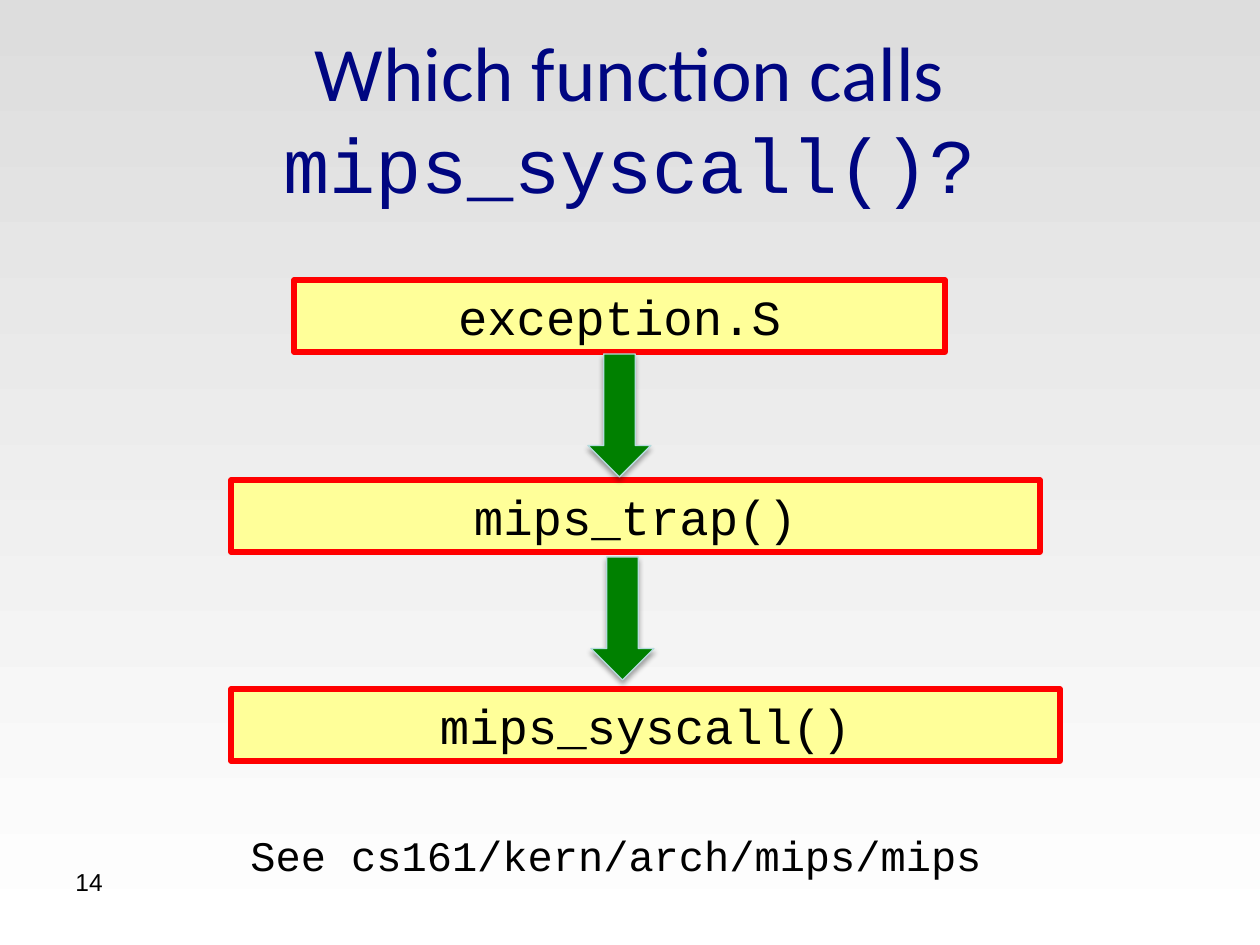
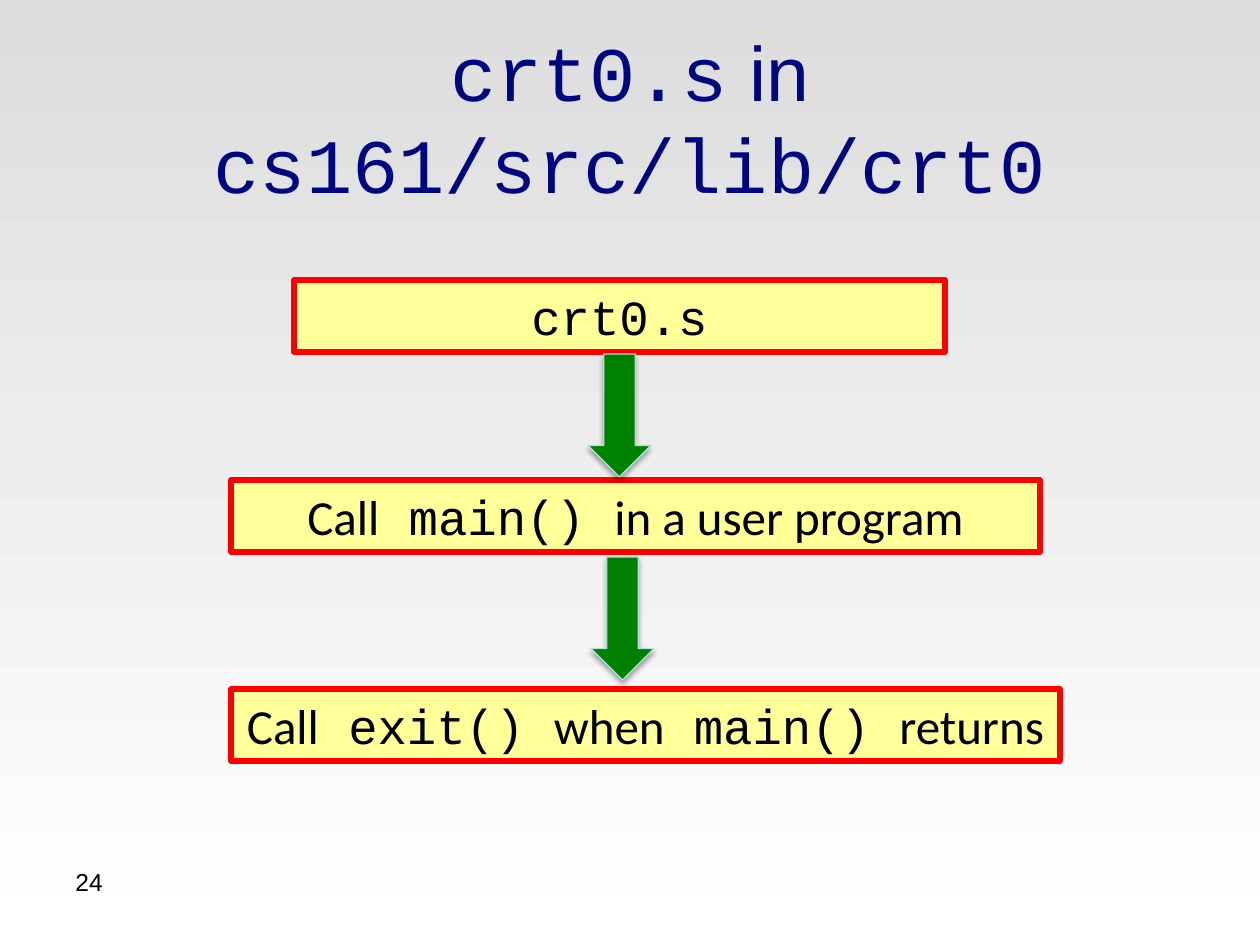
from lxml import etree
from pptx import Presentation
from pptx.dml.color import RGBColor
from pptx.enum.shapes import MSO_SHAPE
from pptx.enum.text import MSO_ANCHOR, MSO_AUTO_SIZE, PP_ALIGN
from pptx.oxml.ns import qn
from pptx.util import Emu, Pt

RECT, DOWN_ARROW = MSO_SHAPE.RECTANGLE, MSO_SHAPE.DOWN_ARROW
MIDDLE, CENTER = MSO_ANCHOR.MIDDLE, PP_ALIGN.CENTER
NO_FIT, GROW = MSO_AUTO_SIZE.NONE, MSO_AUTO_SIZE.SHAPE_TO_FIT_TEXT

SANS, MONO, ARIAL = "Calibri", "Courier New", "Arial"
NAVY, BLACK, YELLOW, RED = "000681", "000000", "FFFF99", "FF0000"
GREEN, PALE_TEAL = "008000", "B6DCDF"
BACKGROUND = ["DDDDDD", "FFFFFF"]

SCALE = 914400 / 126  # EMU per px
TITLE_AT = (63, 38, 1134, 158)
NUMBER_AT = (63, 861, 294, 66)
NOTE_AT = (238, 823, 766, 115)
STEPS_AT = [(294, 280, 651, 72), (231, 480, 809, 72), (231, 689, 829, 72)]
ARROWS_AT = [(588, 354, 63, 123), (591, 557, 63, 123)]

SLIDES = [
    {
        "title": [("Which function calls ", SANS), ("mips_syscall()?", MONO)],
        "number": "14",
        "steps": [
            [("exception.S", MONO)],
            [("mips_trap()", MONO)],
            [("mips_syscall()", MONO)],
        ],
        "note": "See cs161/kern/arch/mips/mips",
    },
    {
        "title": [("crt0.s", MONO), (" in ", ARIAL), ("cs161/src/lib/crt0", MONO)],
        "number": "24",
        "steps": [
            [("crt0.s", MONO)],
            [("Call", SANS), (" main() ", MONO), ("in a user program", SANS)],
            [("Call", SANS), (" exit() ", MONO), ("when", SANS),
             (" main() ", MONO), ("returns", SANS)],
        ],
        "note": None,
    },
]


def rgb(value):
    return RGBColor.from_string(value)


def write(sp, runs, size, color, align=None, anchor=None, fit=NO_FIT):
    """Fill a shape with one paragraph made of (text, font name) runs."""
    tf = sp.text_frame
    tf.word_wrap, tf.auto_size = True, fit
    if anchor is not None:
        tf.vertical_anchor = anchor
    p = tf.paragraphs[0]
    p.alignment = align
    p.font.size = Pt(size)
    p.font.color.rgb = rgb(color)
    for text, font in runs:
        r = p.add_run()
        r.text = text
        r.font.name = font


prs = Presentation()
prs.slide_width, prs.slide_height = Emu(1260 * 914400 // 126), Emu(945 * 914400 // 126)

fill = prs.slide_master.background.fill
fill.gradient()
fill.gradient_angle = 270
for stop, color in zip(fill.gradient_stops, BACKGROUND):
    stop.color.rgb = rgb(color)

for content in SLIDES:
    s = prs.slides.add_slide(prs.slide_layouts[5])
    title = s.shapes.title
    title.left, title.top, title.width, title.height = [round(n * SCALE) for n in TITLE_AT]
    write(title, content["title"], 44, NAVY, CENTER, MIDDLE)

    notes = [(content["number"], ARIAL, 14, NUMBER_AT), (content["note"], MONO, 24, NOTE_AT)]
    for text, font, size, at in notes:
        if text:
            sp = s.shapes.add_textbox(*[round(n * SCALE) for n in at])
            write(sp, [(text, font)], size, BLACK)

    for runs, at in zip(content["steps"], STEPS_AT):
        sp = s.shapes.add_shape(RECT, *[round(n * SCALE) for n in at])
        sp.shadow.inherit = False
        sp.fill.solid()
        sp.fill.fore_color.rgb = rgb(YELLOW)
        sp.line.color.rgb = rgb(RED)
        sp.line.width = Pt(3)
        write(sp, runs, 28, BLACK, CENTER, MIDDLE, GROW)

    for at in ARROWS_AT:
        sp = s.shapes.add_shape(DOWN_ARROW, *[round(n * SCALE) for n in at])
        sp.fill.solid()
        sp.fill.fore_color.rgb = rgb(GREEN)
        sp.line.color.rgb = rgb(PALE_TEAL)
        sp.line.width = Pt(0.75)
        sp.shadow.inherit = False
        effects = sp.element.spPr.find(qn("a:effectLst"))
        shadow = etree.SubElement(effects, qn("a:outerShdw"), blurRad=str(Pt(3.1)),
                                  dist=str(Pt(1.8)), dir="5400000", rotWithShape="0")
        shade = etree.SubElement(shadow, qn("a:srgbClr"), val=BLACK)
        etree.SubElement(shade, qn("a:alpha"), val="35000")

prs.save("out.pptx")
